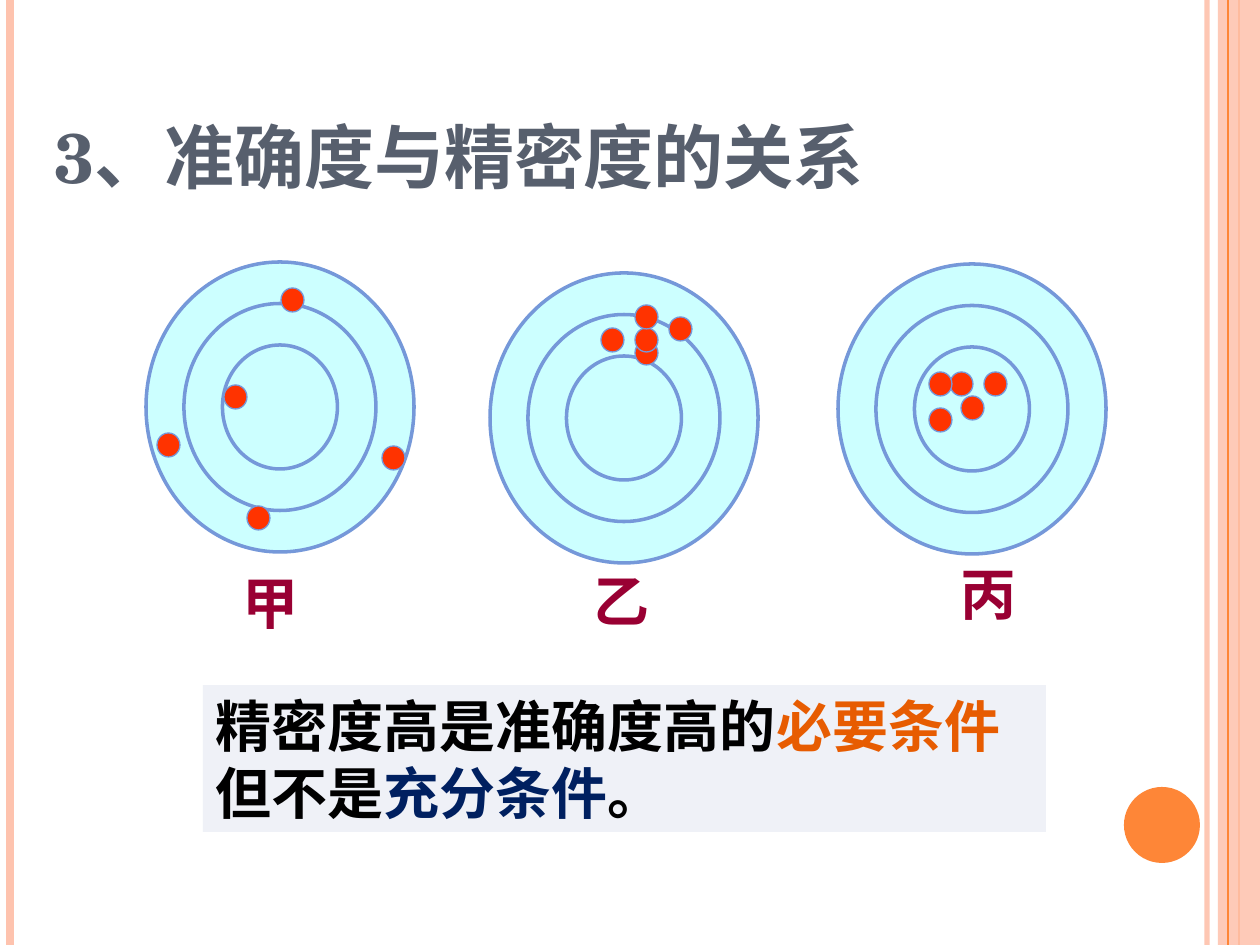
from lxml import etree
from pptx import Presentation, util as u
from pptx.dml.color import RGBColor
from pptx.enum import shapes, text
from pptx.oxml.ns import qn

SCALE = 914400 / 126
PAGE = (0, 0, 1260, 945)
CJK_FONT = "Noto Sans CJK SC"
RINGS = [(268, 290), (192, 207), (115, 124)]
RING_FORMAT = {"fill": "CCFFFF", "line": "7598D9", "width": 2}
HIT_FORMAT = {"fill": "FF3300", "line": "7598D9", "width": 0.75}
TARGETS = [
    ((146, 262, 268, 290), "甲", (84, 300),
     [(78, 123), (135, 26), (236, 184), (11, 171), (101, 244)]),
    ((490, 273, 268, 290), "乙", (91, 287),
     [(145, 68), (145, 55), (111, 55), (145, 32), (179, 44)]),
    ((838, 264, 268, 290), "丙", (110, 289),
     [(112, 108), (91, 108), (146, 108), (91, 144), (123, 132)]),
]


def px(*lengths):
    return [u.Emu(round(length * SCALE)) for length in lengths]


def color(value):
    return RGBColor.from_string(value)


def set_alpha(fill_element, percent):
    rgb = fill_element.find(".//" + qn("a:srgbClr"))
    etree.SubElement(rgb, qn("a:alpha"), val=str(percent * 1000))


def add_shape(parent, kind, box, fill, line=None, width=0):
    shape = parent.shapes.add_shape(kind, *px(*box))
    shape.shadow.inherit = False
    shape.fill.solid()
    shape.fill.fore_color.rgb = color(fill)
    if line:
        shape.line.color.rgb = color(line)
        shape.line.width = u.Pt(width)
    else:
        shape.line.fill.background()
    return shape


def write_text(shape, runs, size, font, anchor=text.MSO_ANCHOR.TOP):
    frame = shape.text_frame
    frame.word_wrap = True
    frame.vertical_anchor = anchor
    paragraph = frame.paragraphs[0]
    paragraph.alignment = text.PP_ALIGN.LEFT
    for words, rgb in runs:
        run = paragraph.add_run()
        run.text = words
        for name, value in {"size": u.Pt(size), "bold": True, "name": font}.items():
            setattr(run.font, name, value)
        run.font.color.rgb = color(rgb)
        latin = run.font._element.find(qn("a:latin"))
        latin.addnext(latin.makeelement(qn("a:ea"), {"typeface": CJK_FONT}))


def add_rule(slide, left, box, rgb, width, alpha=100):
    x, top, _, height = box
    rule = slide.shapes.add_connector(
        shapes.MSO_CONNECTOR.STRAIGHT, *px(x + left, top, x + left, top + height))
    rule.line.color.rgb = color(rgb)
    rule.line.width = u.Pt(width)
    properties = rule._element.spPr
    if alpha < 100:
        set_alpha(properties, alpha)
    etree.SubElement(properties, qn("a:effectLst"))


def add_frame(slide, box):
    x, y, width, height = box
    add_rule(slide, 1207, box, "FEC3AE", 3, 93)
    add_rule(slide, 10, box, "FEC3AE", 4.5)
    add_rule(slide, 1239, box, "FE8637", 1.5)
    band = add_shape(slide, shapes.MSO_SHAPE.RECTANGLE,
                     (x + 1218, y, width - 1218, height), "FEC3AE")
    set_alpha(band._element.spPr, 87)
    add_rule(slide, 1228, box, "FE8637", 0.75)
    add_shape(slide, shapes.MSO_SHAPE.OVAL, (x + 1124, y + 787, 76, 76), "FE8637")


def add_title(slide, box):
    title = slide.shapes.add_textbox(*px(*box))
    write_text(title, [("3、准确度与精密度的关系", "575F6D")], 40,
               "TeX Gyre Schola", text.MSO_ANCHOR.BOTTOM)


def add_target(slide, box, label, label_offset, hits):
    x, y, width, height = box
    group = slide.shapes.add_group_shape()
    for ring_width, ring_height in RINGS:
        ring = (x + (width - ring_width) / 2, y + (height - ring_height) / 2,
                ring_width, ring_height)
        add_shape(group, shapes.MSO_SHAPE.OVAL, ring, **RING_FORMAT)
    for left, top in hits:
        add_shape(group, shapes.MSO_SHAPE.OVAL, (x + left, y + top, 23, 24), **HIT_FORMAT)
    left, top = label_offset
    caption = group.shapes.add_textbox(*px(x + left, y + top, 190, 81))
    write_text(caption, [(label, "990033")], 32, "Arial")


def add_conclusion(slide, box):
    panel = add_shape(slide, shapes.MSO_SHAPE.RECTANGLE, box, "EFF1F7")
    runs = [("精密度高是准确度高的", "000000"), ("必要条件", "E75C01"),
            ("但不是", "000000"), ("充分条件", "002060"), ("。", "000000")]
    write_text(panel, runs, 32, CJK_FONT)


def main():
    presentation = Presentation()
    presentation.slide_width, presentation.slide_height = px(*PAGE[2:])
    slide = presentation.slides.add_slide(presentation.slide_layouts[6])
    add_frame(slide, PAGE)
    add_title(slide, (42, 47, 1071, 157))
    add_conclusion(slide, (203, 685, 843, 147))
    for target in TARGETS:
        add_target(slide, *target)
    presentation.save("out.pptx")


if __name__ == "__main__":
    main()
